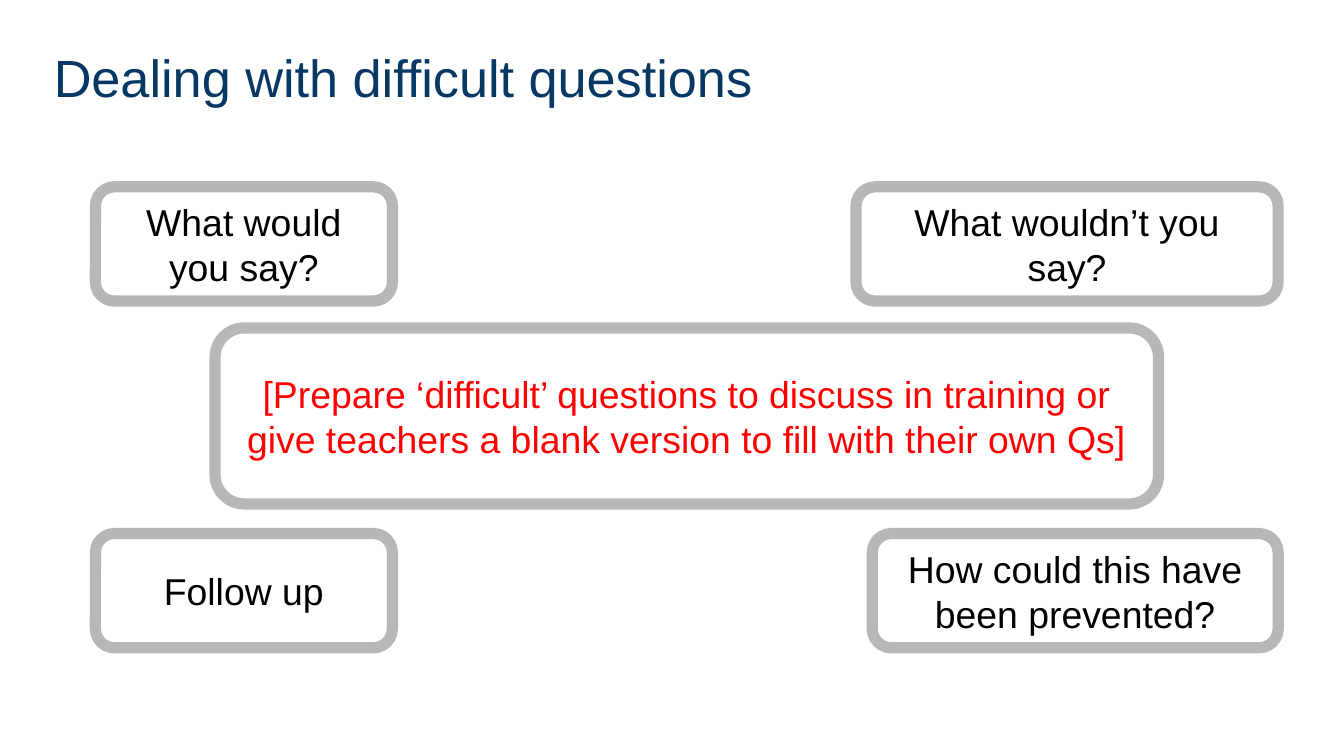
from dataclasses import dataclass

from pptx import Presentation
from pptx.dml.color import RGBColor
from pptx.enum.shapes import MSO_SHAPE
from pptx.enum.text import MSO_ANCHOR, MSO_AUTO_SIZE, PP_ALIGN
from pptx.util import Inches, Pt

COLORS = {"title": "073763", "border": "B7B7B7", "text": "000000", "prompt": "FF0000"}
LEFT_EDGE = 0.71
RIGHT_EDGE = 9.51
TOP_ROW = 1.39
BOTTOM_ROW = 3.97


@dataclass(frozen=True)
class Card:
    text: str
    left: float
    top: float
    width: float
    height: float = 0.85
    color: str = "text"


def write_text(shape, text: str, *, size: float, color: str,
               align: PP_ALIGN, anchor: MSO_ANCHOR) -> None:
    frame = shape.text_frame
    frame.word_wrap = True
    frame.auto_size = MSO_AUTO_SIZE.NONE
    frame.vertical_anchor = anchor
    frame.margin_left = frame.margin_right = Inches(0.1)
    frame.margin_top = frame.margin_bottom = Inches(0.1)
    paragraph = frame.paragraphs[0]
    paragraph.alignment = align
    paragraph.line_spacing = 1.0
    run = paragraph.add_run()
    run.text = text
    run.font.name = "Arial"
    run.font.size = Pt(size)
    run.font.color.rgb = RGBColor.from_string(COLORS[color])


def draw_card(slide, card: Card) -> None:
    shape = slide.shapes.add_shape(
        MSO_SHAPE.ROUNDED_RECTANGLE, Inches(card.left), Inches(card.top),
        Inches(card.width), Inches(card.height))
    shape.shadow.inherit = False
    shape.fill.background()
    shape.line.color.rgb = RGBColor.from_string(COLORS["border"])
    shape.line.width = Pt(6)
    write_text(shape, card.text, size=20, color=card.color,
               align=PP_ALIGN.CENTER, anchor=MSO_ANCHOR.MIDDLE)


def draw_title(slide, text: str) -> None:
    title = slide.shapes.title
    title.left, title.top = Inches(0.3), Inches(0.24)
    title.width, title.height = Inches(8.48), Inches(0.63)
    write_text(title, text, size=28, color="title",
               align=PP_ALIGN.LEFT, anchor=MSO_ANCHOR.TOP)


def right_card(text: str, top: float, width: float) -> Card:
    return Card(text, RIGHT_EDGE - width, top, width)


CARDS = [
    Card("What would you say?", LEFT_EDGE, TOP_ROW, 2.21),
    right_card("What wouldn’t you say?", TOP_ROW, 3.14),
    Card("Follow up", LEFT_EDGE, BOTTOM_ROW, 2.21),
    right_card("How could this have been prevented?", BOTTOM_ROW, 3.02),
    Card("[Prepare ‘difficult’ questions to discuss in training or "
         "give teachers a blank version to fill with their own Qs]",
         1.6, 2.44, 7.02, height=1.31, color="prompt"),
]

presentation = Presentation()
presentation.slide_width = Inches(10)
presentation.slide_height = presentation.slide_width * 9 // 16
slide = presentation.slides.add_slide(presentation.slide_layouts[5])
draw_title(slide, "Dealing with difficult questions ")
for card in CARDS:
    draw_card(slide, card)
presentation.save("out.pptx")
